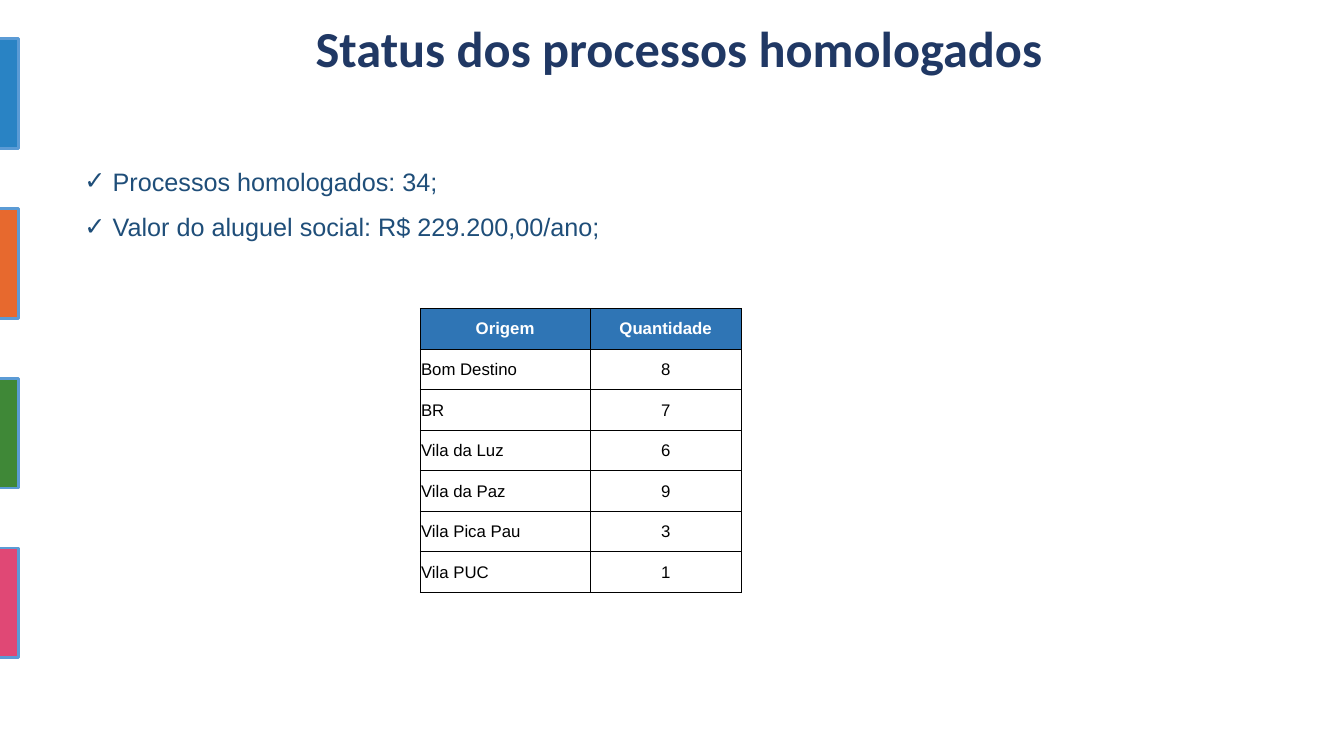
from lxml.etree import SubElement
from pptx import Presentation
from pptx.dml.color import RGBColor
from pptx.enum.shapes import MSO_SHAPE
from pptx.enum.text import MSO_ANCHOR, PP_ALIGN
from pptx.oxml.ns import qn
from pptx.util import Cm, Pt


def rgb(value):
    return RGBColor.from_string(value)


def write(p, text, size=12, color="000000", font="Arial", bold=False,
          align=PP_ALIGN.LEFT, spacing=1.0):
    p.alignment = align
    p.line_spacing = spacing
    r = p.add_run()
    r.text = text
    r.font.size = Pt(size)
    r.font.name = font
    r.font.bold = bold
    r.font.color.rgb = rgb(color)


class Deck:
    navy = "203864"
    blue = "1F4E79"
    header = "2F75B5"
    outline = "5B9BD5"

    def __init__(self):
        self.prs = Presentation()
        self.prs.slide_width = Cm(33.87)
        self.prs.slide_height = Cm(19.05)
        self.s = self.prs.slides.add_slide(self.prs.slide_layouts[6])

    def tab(self, x, y, w, h, fill):
        sp = self.s.shapes.add_shape(MSO_SHAPE.RECTANGLE, Cm(x), Cm(y), Cm(w), Cm(h))
        sp.shadow.inherit = False
        sp.fill.solid()
        sp.fill.fore_color.rgb = rgb(fill)
        sp.line.color.rgb = rgb(self.outline)
        sp.line.width = Pt(2)

    def box(self, x, y, w, h, anchor=MSO_ANCHOR.TOP):
        tf = self.s.shapes.add_textbox(Cm(x), Cm(y), Cm(w), Cm(h)).text_frame
        tf.word_wrap = True
        tf.vertical_anchor = anchor
        return tf

    def title(self, text, x, y, w, h):
        tf = self.box(x, y, w, h, MSO_ANCHOR.MIDDLE)
        write(tf.paragraphs[0], text, size=36, color=self.navy, font="Calibri",
              bold=True, align=PP_ALIGN.CENTER, spacing=0.9)

    def checklist(self, items, x, y, w, h, indent=0.71):
        tf = self.box(x, y, w, h)
        for i, item in enumerate(items):
            p = tf.add_paragraph() if i else tf.paragraphs[0]
            write(p, item, size=18, color=self.blue, align=PP_ALIGN.JUSTIFY, spacing=1.5)
            pPr = p._p.get_or_add_pPr()
            pPr.set("marL", str(Cm(indent)))
            pPr.set("indent", str(-Cm(indent)))
            SubElement(pPr, qn("a:buFont"), typeface="Arial")
            SubElement(pPr, qn("a:buChar"), char="✓")

    def borders(self, cell, color="000000", width=0.5):
        tcPr = cell._tc.get_or_add_tcPr()
        for i, side in enumerate(("lnL", "lnR", "lnT", "lnB")):
            ln = tcPr.makeelement(qn(f"a:{side}"), {"w": str(Pt(width))})
            SubElement(SubElement(ln, qn("a:solidFill")), qn("a:srgbClr"), val=color)
            tcPr.insert(i, ln)

    def table(self, rows, x, y, widths, h):
        table = self.s.shapes.add_table(len(rows), len(widths), Cm(x), Cm(y),
                                        Cm(sum(widths)), Cm(h)).table
        table.first_row = table.horz_banding = False
        for column, width in zip(table.columns, widths):
            column.width = Cm(width)
        for i, row in enumerate(rows):
            for j, value in enumerate(row):
                cell = table.cell(i, j)
                cell.margin_left = cell.margin_right = cell.margin_top = Cm(0.02)
                cell.margin_bottom = 0
                cell.vertical_anchor = MSO_ANCHOR.MIDDLE
                is_header = i == 0
                if is_header:
                    cell.fill.solid()
                    cell.fill.fore_color.rgb = rgb(self.header)
                else:
                    cell.fill.background()
                self.borders(cell)
                write(cell.text_frame.paragraphs[0], str(value), bold=is_header,
                      color="FFFFFF" if is_header else "000000",
                      align=PP_ALIGN.CENTER if is_header or j else PP_ALIGN.LEFT)


deck = Deck()
for i, fill in enumerate(("2983C4", "E7692E", "3F8837", "E04875")):
    deck.tab(-0.03, 0.97 + 4.28 * i, 0.5, 2.77, fill)
deck.title("Status dos processos homologados", 1.88, 0.43, 30.48, 1.73)
deck.checklist(["Processos homologados: 34;",
                "Valor do aluguel social: R$ 229.200,00/ano;"], 1.88, 3.68, 30.48, 2.57)
deck.table([("Origem", "Quantidade"), ("Bom Destino", 8), ("BR", 7), ("Vila da Luz", 6),
            ("Vila da Paz", 9), ("Vila Pica Pau", 3), ("Vila PUC", 1)],
           10.59, 7.77, (4.28, 3.81), 7.16)
deck.prs.save("out.pptx")
